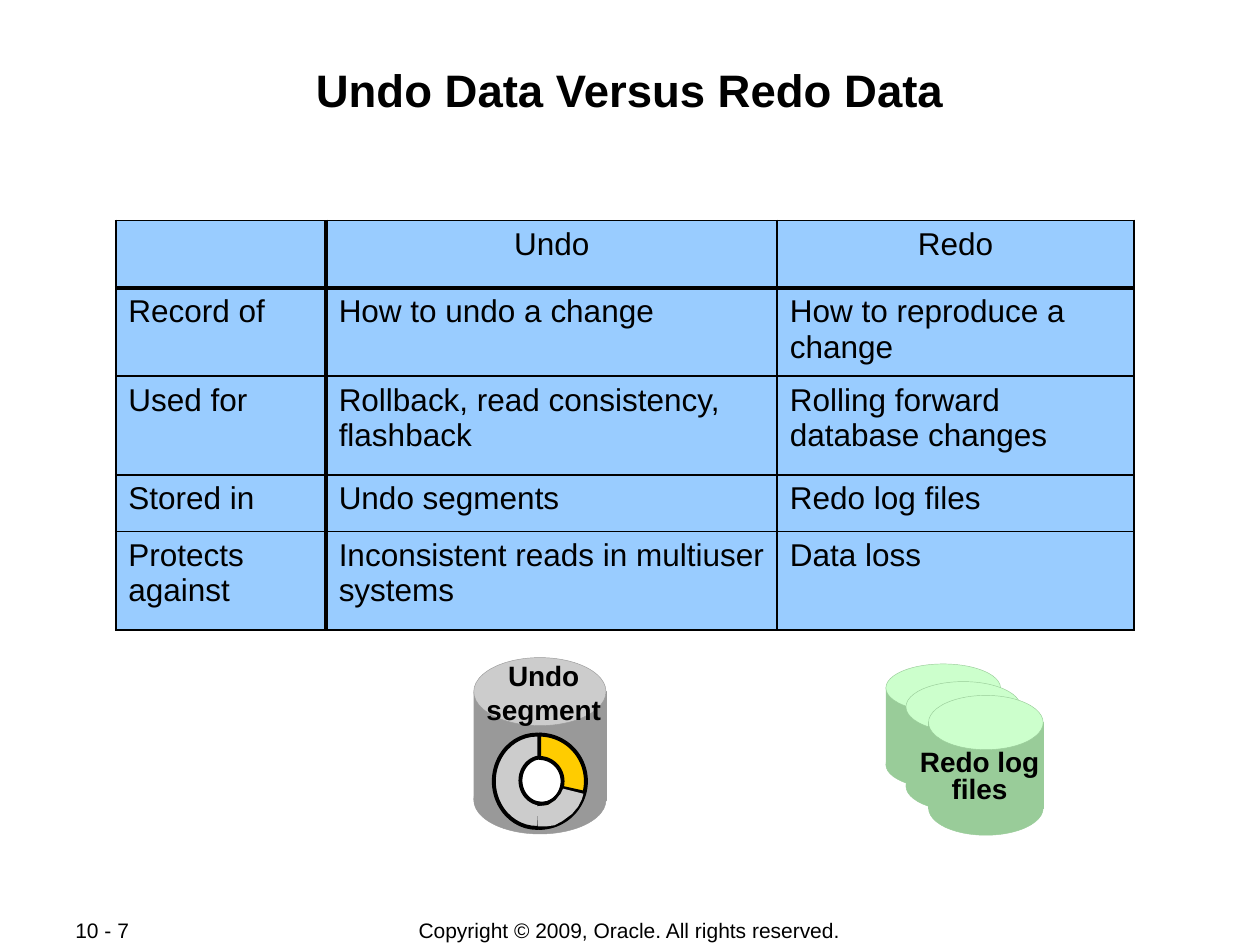
from dataclasses import dataclass
from typing import Any

from lxml import etree
from pptx import Presentation
from pptx import util as u
from pptx.dml.color import RGBColor
from pptx.enum import shapes, text
from pptx.oxml.ns import qn

CENTER, LEFT = text.PP_ALIGN.CENTER, text.PP_ALIGN.LEFT
OVAL, RECTANGLE = shapes.MSO_SHAPE.OVAL, shapes.MSO_SHAPE.RECTANGLE


def color(value):
    return RGBColor.from_string(value)


@dataclass
class SlideBuilder:
    """Draws styled elements on one slide, with lengths in points."""
    slide: Any
    font: str = "Arial"
    ink: str = "000000"
    table_fill: str = "99CCFF"
    thin: float = 1.08
    thick: float = 2.21

    def group(self):
        return self.slide.shapes.add_group_shape()

    def style(self, paragraph, size, bold=False, align=LEFT):
        paragraph.alignment = align
        for run in paragraph.runs:
            run.font.name, run.font.size, run.font.bold = self.font, u.Pt(size), bold
            run.font.color.rgb = color(self.ink)

    def label(self, wording, box, size, bold=False, align=CENTER, inset=(7.2, 3.6),
              anchor=text.MSO_ANCHOR.TOP, spacing=None):
        frame = self.slide.shapes.add_textbox(*map(u.Pt, box)).text_frame
        frame.word_wrap = True
        frame.vertical_anchor = anchor
        frame.margin_left = frame.margin_right = u.Pt(inset[0])
        frame.margin_top = frame.margin_bottom = u.Pt(inset[1])
        frame.text = wording
        for paragraph in frame.paragraphs:
            self.style(paragraph, size, bold, align)
            if spacing:
                paragraph.line_spacing = spacing

    def paint(self, shape, fill, line=None, width=0.25):
        shape.shadow.inherit = False
        shape.fill.solid()
        shape.fill.fore_color.rgb = color(fill)
        if line:
            shape.line.color.rgb = color(line)
            shape.line.width = u.Pt(width)
        else:
            shape.line.fill.background()

    def shape(self, group, kind, box, fill, line, width=0.25):
        shape = group.shapes.add_shape(kind, *map(u.Pt, box))
        self.paint(shape, fill, line, width)
        return shape

    def outline(self, group, points, fill):
        start, *rest = [(u.Pt(x), u.Pt(y)) for x, y in points]
        builder = group.shapes.build_freeform(*start)
        builder.add_line_segments(rest, close=True)
        self.paint(builder.convert_to_shape(), fill)

    def line(self, group, start, end, width):
        connector = group.shapes.add_connector(
            shapes.MSO_CONNECTOR.STRAIGHT, *map(u.Pt, (*start, *end)))
        connector.line.color.rgb = color(self.ink)
        connector.line.width = u.Pt(width)
        etree.SubElement(connector._element.spPr, qn("a:effectLst"))

    def cylinder(self, left, top, width, height, cap, side, lid):
        group = self.group()
        self.shape(group, RECTANGLE, (left, top + cap / 2, width, height - cap), side, side)
        self.shape(group, OVAL, (left, top, width, cap), lid, side)
        self.shape(group, OVAL, (left, top + height - cap, width, cap), side, side)

    def borders(self, cell, widths):
        properties = cell._tc.get_or_add_tcPr()
        for index, (side, width) in enumerate(widths.items()):
            border = etree.Element(qn(f"a:ln{side}"), w=str(u.Pt(width)))
            fill = etree.SubElement(border, qn("a:solidFill"))
            etree.SubElement(fill, qn("a:srgbClr"), val=self.ink)
            properties.insert(index, border)

    def table(self, rows, left, top, widths, heights, size):
        table = self.slide.shapes.add_table(
            len(rows), len(widths), u.Pt(left), u.Pt(top),
            u.Pt(sum(widths)), u.Pt(sum(heights))).table
        for column, width in zip(table.columns, widths):
            column.width = u.Pt(width)
        for r, (row, height) in enumerate(zip(rows, heights)):
            table.rows[r].height = u.Pt(height)
            for c, wording in enumerate(row):
                cell = table.cell(r, c)
                cell.text = wording
                cell.fill.solid()
                cell.fill.fore_color.rgb = color(self.table_fill)
                self.style(cell.text_frame.paragraphs[0], size, align=LEFT if r else CENTER)
                self.borders(cell, {
                    "L": self.thick if c == 1 else self.thin,
                    "R": self.thick if c == 0 else self.thin,
                    "T": self.thick if r == 1 else self.thin,
                    "B": self.thick if r == 0 else self.thin})

    def undo_ring(self):
        group = self.group()
        self.shape(group, OVAL, (282.2, 419.8, 49, 53.3), "CCCCCC", self.ink, 2.25)
        self.shape(group, OVAL, (297.4, 432.7, 24.5, 26.6), "FFFFFF", self.ink, 2.25)
        arc = self.shape(group, shapes.MSO_SHAPE.BLOCK_ARC, (281.5, 419.8, 53.3, 53.3),
                         "FFCC00", self.ink, 2.25)
        arc.rotation = 90
        self.line(group, (320.4, 450), (333.4, 452.9), 2.25)
        self.outline(group, [
            (306.7, 460.8), (307.4, 472.3), (311.8, 472.3), (316.8, 471.6), (321.1, 469.4),
            (326.9, 465.1), (330.5, 460.8), (332.6, 456.5), (333.4, 453.6), (321.8, 450.7),
            (320.4, 453.6), (317.5, 457.2), (313.2, 460.1)], "CCCCCC")


def main():
    presentation = Presentation()
    presentation.slide_width, presentation.slide_height = u.Pt(720), u.Pt(540)
    builder = SlideBuilder(presentation.slides.add_slide(presentation.slide_layouts[6]))

    middle = text.MSO_ANCHOR.MIDDLE
    builder.label("Copyright © 2009, Oracle. All rights reserved.",
                  (198, 524.2, 323.3, 15.1), 12, anchor=middle)
    builder.label("10 - 7", (36, 524.2, 76.3, 14.4), 12, align=LEFT, anchor=middle)
    builder.label("Undo Data Versus Redo Data", (48.2, 34.6, 623.5, 69.1), 26,
                  bold=True, inset=(0.7, 0.7))

    rows = [
        ("", "Undo", "Redo"),
        ("Record of", "How to undo a change", "How to reproduce a change"),
        ("Used for", "Rollback, read consistency, flashback",
         "Rolling forward database changes"),
        ("Stored in", "Undo segments", "Redo log files"),
        ("Protects against", "Inconsistent reads in multiuser systems", "Data loss"),
    ]
    builder.table(rows, 66.2, 126, (120.2, 257.8, 203.8), (38.6, 50.4, 56.4, 32.4, 56.4), 18)

    for left, top, height, cap in ((506.2, 379.4, 71.3, 27.4), (517.7, 389.5, 74.2, 28.8),
                                   (530.6, 397.4, 79.9, 31)):
        builder.cylinder(left, top, 65.5, height, cap, "99CC99", "CCFFCC")
    builder.label("Redo log\nfiles", (514.8, 425.5, 90, 38.2), 16, bold=True, spacing=0.8)

    builder.cylinder(270.7, 375.8, 75.6, 100.8, 38.9, "999999", "CCCCCC")
    builder.label("Undo segment", (257.8, 373, 105.8, 45.4), 16, bold=True)
    builder.undo_ring()

    presentation.save("out.pptx")


if __name__ == "__main__":
    main()
